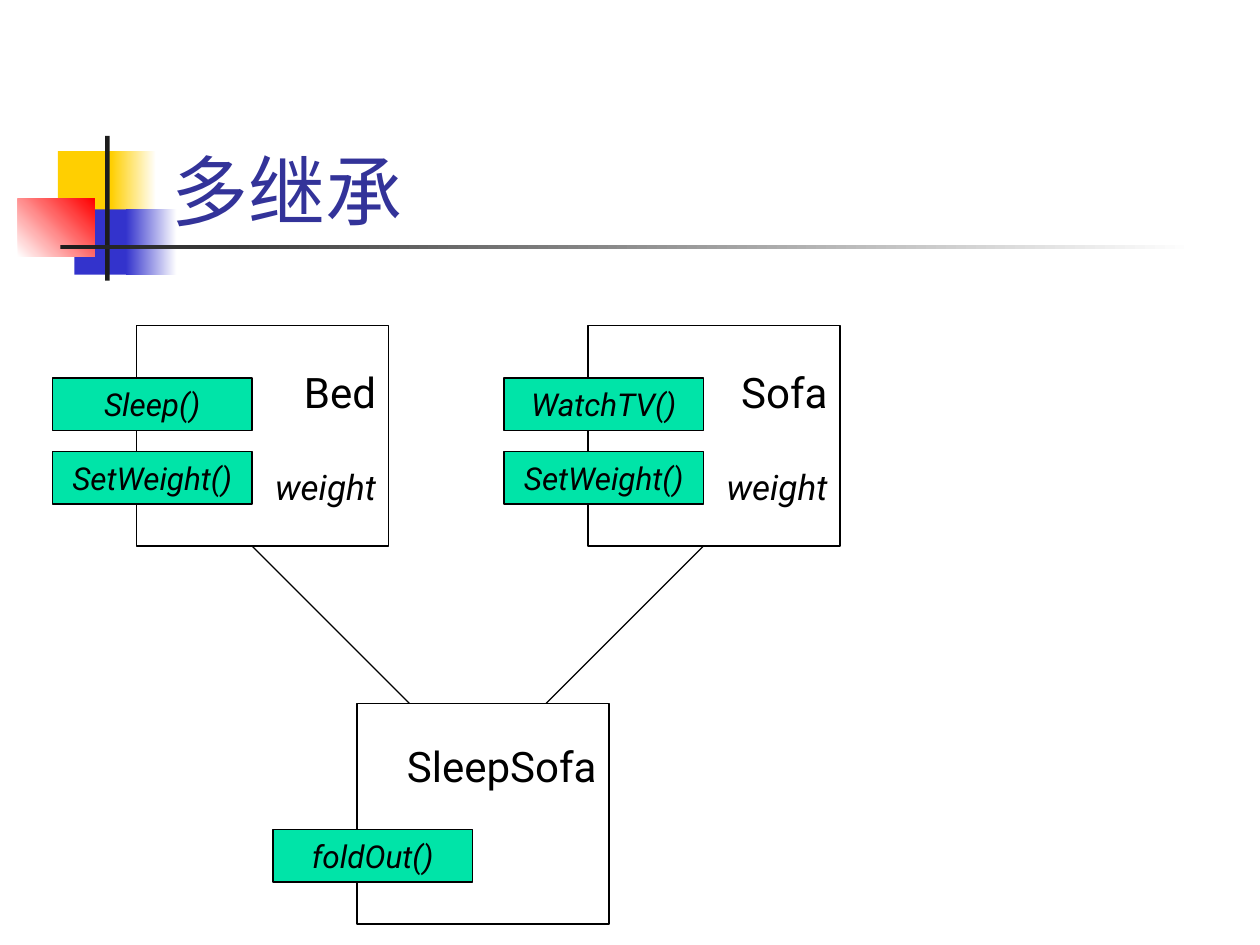
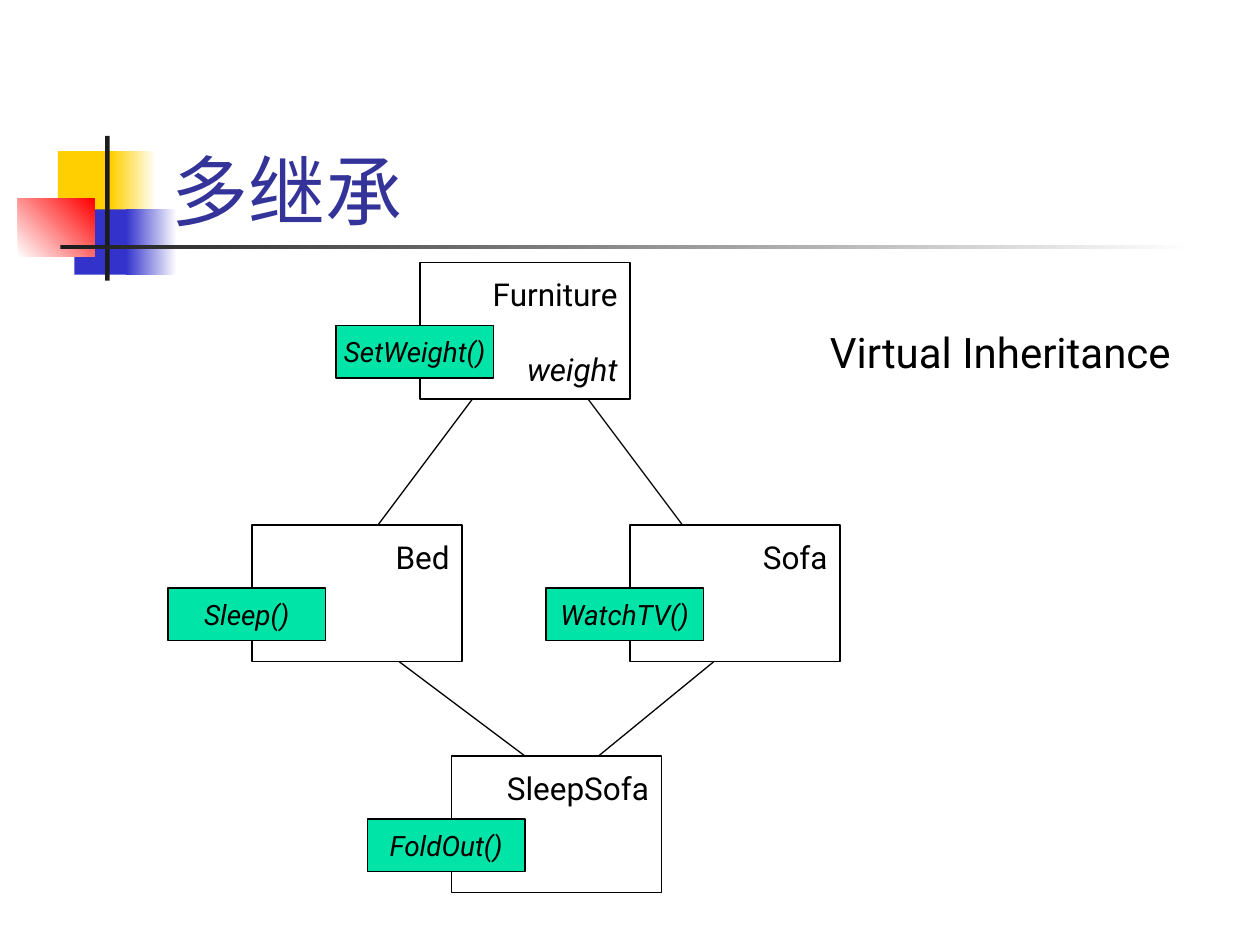
import dataclasses

import pptx
import pptx.util
from pptx.dml.color import RGBColor
from pptx.enum.shapes import MSO_CONNECTOR, MSO_SHAPE
from pptx.enum.text import MSO_ANCHOR, PP_ALIGN
from pptx.oxml.ns import qn
from pptx.util import Cm, Pt

FONT = "Roboto"
LINE_HEIGHT = 1.17
BLACK = RGBColor(0x00, 0x00, 0x00)
WHITE = RGBColor(0xFF, 0xFF, 0xFF)
TITLE_BLUE = RGBColor(0x33, 0x33, 0x99)
METHOD_GREEN = RGBColor(0x00, 0xE4, 0xA8)
YELLOW = RGBColor(0xFF, 0xCF, 0x01)
BLUE = RGBColor(0x33, 0x33, 0xCC)
RED = RGBColor(0xFF, 0x00, 0x00)
CHARCOAL = RGBColor(0x1C, 0x1C, 0x1C)

# Left, top, width, height in centimetres; first colour, last colour, angle.
MOTIF = [
    (1.17, 3.05, 1.22, 1.32, YELLOW, YELLOW, 0),
    (2.24, 3.05, 0.91, 1.32, YELLOW, WHITE, 0),
    (1.5, 4.22, 1.17, 1.32, BLUE, BLUE, 0),
    (2.54, 4.22, 1.02, 1.32, BLUE, WHITE, 0),
    (0.36, 4.01, 1.55, 1.17, WHITE, RED, 45),
    (2.12, 2.74, 0.09, 2.92, CHARCOAL, CHARCOAL, 0),
    (1.22, 4.94, 22.86, 0.09, CHARCOAL, WHITE, 0),
]


@dataclasses.dataclass
class DiagramStyle:
    """Sizes of one class diagram: lengths in grid steps, text in points."""
    class_width: int
    class_height: int
    method_width: int
    name_size: int
    attribute_size: int
    method_size: int


LARGE = DiagramStyle(24, 21, 19, 24, 20, 18)
SMALL = DiagramStyle(20, 13, 15, 18, 18, 16)
METHOD_HEIGHT = 5
METHOD_OVERHANG = 8


def grid(steps):
    """Length of a number of grid steps, twelve to the inch."""
    return Cm(steps * 2.54 / 12)


def add_rectangle(page, left, top, width, height):
    box = page.shapes.add_shape(MSO_SHAPE.RECTANGLE, left, top, width, height)
    box.shadow.inherit = False
    return box


def style_text(para, size, color=BLACK, italic=False, align=PP_ALIGN.LEFT):
    para.alignment = align
    para.font.name = FONT
    para.font.size = Pt(size)
    para.font.italic = italic
    para.font.color.rgb = color


def add_label(page, left, top, width, height, text, size, color=BLACK, anchor=MSO_ANCHOR.TOP):
    box = page.shapes.add_textbox(Cm(left), Cm(top), Cm(width), Cm(height))
    box.text_frame.word_wrap = True
    box.text_frame.vertical_anchor = anchor
    para = box.text_frame.paragraphs[0]
    para.text = text
    style_text(para, size, color)


def add_motif(page):
    for left, top, width, height, first, last, angle in MOTIF:
        box = add_rectangle(page, Cm(left), Cm(top), Cm(width), Cm(height))
        box.line.fill.background()
        if first == last:
            box.fill.solid()
            box.fill.fore_color.rgb = first
        else:
            box.fill.gradient()
            box.fill.gradient_angle = angle
            for stop, color in zip(box.fill.gradient_stops, (first, last)):
                stop.color.rgb = color


def add_page(deck, title):
    page = deck.slides.add_slide(deck.slide_layouts[6])
    add_motif(page)
    add_label(page, 3.2, 1.7, 21.64, 3.18, title, 44, TITLE_BLUE, MSO_ANCHOR.BOTTOM)
    return page


def outline(line):
    line.color.rgb = BLACK
    line.width = Pt(0.75)


def add_method(page, style, left, top, name):
    box = add_rectangle(page, grid(left), grid(top), grid(style.method_width), grid(METHOD_HEIGHT))
    box.fill.solid()
    box.fill.fore_color.rgb = METHOD_GREEN
    outline(box.line)
    box.text_frame.word_wrap = False
    box.text_frame.vertical_anchor = MSO_ANCHOR.MIDDLE
    para = box.text_frame.paragraphs[0]
    para.text = name
    style_text(para, style.method_size, italic=True, align=PP_ALIGN.CENTER)


def add_class(page, style, left, top, name, methods, attribute=None):
    """Draw a class box; methods maps each name to its drop below the box top."""
    box = add_rectangle(page, grid(left), grid(top),
                        grid(style.class_width), grid(style.class_height))
    box.fill.background()
    outline(box.line)
    frame = box.text_frame
    frame.word_wrap = True
    frame.vertical_anchor = MSO_ANCHOR.TOP
    # The name heads a block of three lines that is centred in the box.
    last_size = style.attribute_size if attribute else style.name_size
    block = Pt(LINE_HEIGHT * (2 * style.name_size + last_size))
    frame.margin_top = (box.height - block) // 2
    para = frame.paragraphs[0]
    para.text = name
    style_text(para, style.name_size, align=PP_ALIGN.RIGHT)
    if attribute:
        para = frame.add_paragraph()
        para.text = attribute
        para.space_before = Pt(round(LINE_HEIGHT * style.name_size))
        style_text(para, style.attribute_size, italic=True, align=PP_ALIGN.RIGHT)
    for method, drop in methods.items():
        add_method(page, style, left - METHOD_OVERHANG, top + drop, method)


def add_link(page, *ends):
    link = page.shapes.add_connector(MSO_CONNECTOR.STRAIGHT, *map(grid, ends))
    outline(link.line)
    properties = link._element.spPr
    properties.append(properties.makeelement(qn("a:effectLst"), {}))


def build_multiple_inheritance(deck):
    page = add_page(deck, "多继承")
    add_class(page, LARGE, 13, 31, "Bed", {"Sleep()": 5, "SetWeight()": 12}, "weight")
    add_class(page, LARGE, 56, 31, "Sofa", {"WatchTV()": 5, "SetWeight()": 12}, "weight")
    add_class(page, LARGE, 34, 67, "SleepSofa", {"foldOut()": 12})
    add_link(page, 24, 52, 39, 67)
    add_link(page, 67, 52, 52, 67)


def build_virtual_inheritance(deck):
    page = add_page(deck, "多继承")
    add_class(page, SMALL, 40, 25, "Furniture", {"SetWeight()": 6}, "weight")
    add_class(page, SMALL, 24, 50, "Bed", {"Sleep()": 6})
    add_class(page, SMALL, 60, 50, "Sofa", {"WatchTV()": 6})
    add_class(page, SMALL, 43, 72, "SleepSofa", {"FoldOut()": 6})
    add_link(page, 38, 63, 50, 72)
    add_link(page, 68, 63, 57, 72)
    add_link(page, 45, 38, 36, 50)
    add_link(page, 56, 38, 65, 50)
    add_label(page, 16.48, 6.45, 7.9, 1.27, "Virtual Inheritance", 24)


def main():
    deck = pptx.Presentation()
    deck.slide_width = Cm(25.4)
    deck.slide_height = Cm(19.05)
    build_multiple_inheritance(deck)
    build_virtual_inheritance(deck)
    deck.save("out.pptx")


if __name__ == "__main__":
    main()
